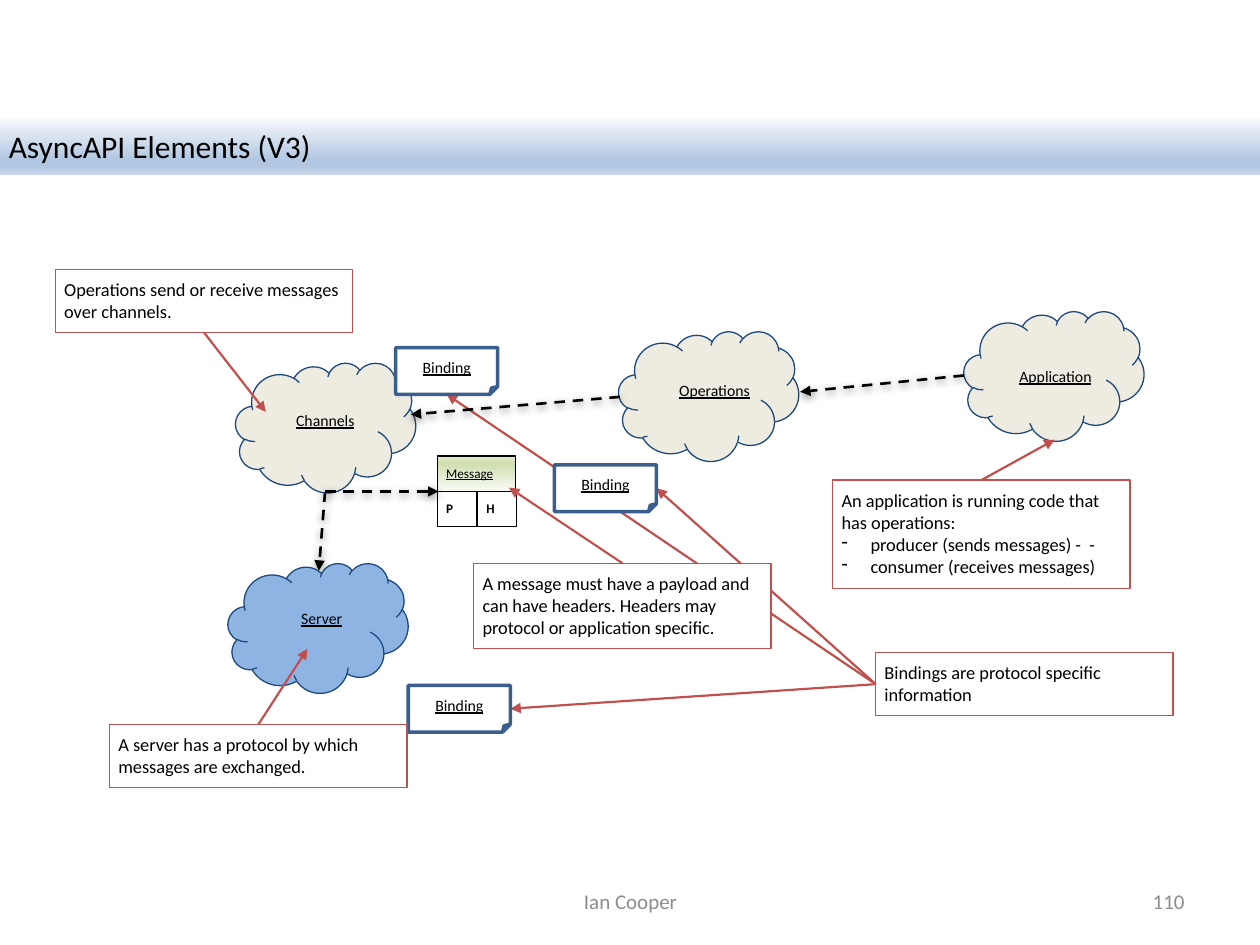
from lxml import etree
from pptx import Presentation
from pptx.dml.color import RGBColor
from pptx.enum.dml import MSO_LINE
from pptx.enum.shapes import MSO_CONNECTOR, MSO_SHAPE
from pptx.enum.text import MSO_ANCHOR, PP_ALIGN
from pptx.oxml import parse_xml
from pptx.oxml.ns import nsdecls, qn
from pptx.util import Inches, Pt

STRAIGHT = MSO_CONNECTOR.STRAIGHT
DASH = MSO_LINE.DASH
RECT, CLOUD, FOLDED = MSO_SHAPE.RECTANGLE, MSO_SHAPE.CLOUD, MSO_SHAPE.FOLDED_CORNER
TOP, MIDDLE = MSO_ANCHOR.TOP, MSO_ANCHOR.MIDDLE
LEFT, CENTER, RIGHT = PP_ALIGN.LEFT, PP_ALIGN.CENTER, PP_ALIGN.RIGHT
SITE_TOP, SITE_LEFT, SITE_BOTTOM, SITE_RIGHT = range(4)

BLACK = RGBColor(0x00, 0x00, 0x00)
WHITE = RGBColor(0xFF, 0xFF, 0xFF)
RED = RGBColor(0xC0, 0x50, 0x4D)
NAVY = RGBColor(0x1F, 0x49, 0x7D)
STEEL = RGBColor(0x3A, 0x5F, 0x8C)
CREAM = RGBColor(0xEE, 0xEC, 0xE1)
SKY = RGBColor(0x8E, 0xB4, 0xE3)
GREY = RGBColor(0x8C, 0x8C, 0x8C)
BLUE_FADE = [RGBColor.from_string(c) for c in ("F6F9FC", "B0C6E1", "B0C6E1", "CAD9EB")]
GREEN_FADE = [RGBColor.from_string(c) for c in ("FAFCF7", "D2E0B4", "D2E0B4", "E1EBCD")]
FADE_STOPS = (0, 74, 83, 100)

CLOUD_SIZE = (1.43, 1.03)
BINDING_SIZE = (0.81, 0.37)
NOTE_WIDTH = 2.36


def write(sp, lines, size=10.5, color=BLACK, bold=False, underline=False,
          align=LEFT, anchor=TOP, inset=0.07, wrap=True, bullets_from=None):
    """Fill a shape with formatted paragraphs."""
    tf = sp.text_frame
    tf.word_wrap = wrap
    tf.vertical_anchor = anchor
    tf.margin_left = tf.margin_right = tf.margin_top = tf.margin_bottom = Inches(inset)
    for i, line in enumerate(lines):
        p = tf.paragraphs[0] if i == 0 else tf.add_paragraph()
        p.alignment = align
        if bullets_from is not None and i >= bullets_from:
            pPr = p._p.get_or_add_pPr()
            pPr.set("marL", str(Inches(0.23)))
            pPr.set("indent", str(-Inches(0.23)))
            etree.SubElement(pPr, qn("a:buChar")).set("char", "-")
        r = p.add_run()
        r.text = line
        font = r.font
        font.name, font.size, font.bold, font.underline = "Calibri", Pt(size), bold, underline
        font.color.rgb = color


def add_box(s, kind, box, fill=None, line=None, width=0.75):
    """Add a preset shape without a shadow."""
    sp = s.shapes.add_shape(kind, *map(Inches, box))
    sp.shadow.inherit = False
    if fill is None:
        sp.fill.background()
    else:
        sp.fill.solid()
        sp.fill.fore_color.rgb = fill
    if line is None:
        sp.line.fill.background()
    else:
        sp.line.color.rgb = line
        sp.line.width = Pt(width)
    return sp


def fade(sp, colors, angle):
    """Replace the fill of a shape with a four-stop gradient."""
    stops = "".join(
        f'<a:gs pos="{pos * 1000}"><a:srgbClr val="{color}"/></a:gs>'
        for pos, color in zip(FADE_STOPS, colors))
    grad = parse_xml(f'<a:gradFill {nsdecls("a")} rotWithShape="1"><a:gsLst>{stops}</a:gsLst>'
                     f'<a:lin ang="{angle * 60000}" scaled="0"/></a:gradFill>')
    spPr = sp._element.spPr
    spPr.replace(spPr.find(qn("a:noFill")), grad)


def add_label(s, text, box, **fmt):
    """Add a text box with one line of text."""
    write(s.shapes.add_textbox(*map(Inches, box)), [text], **fmt)


def add_cloud(s, text, left, top, label, fill=CREAM):
    """Draw a cloud with its underlined label at an offset."""
    add_box(s, CLOUD, (left, top, *CLOUD_SIZE), fill, NAVY)
    dx, dy, width = label
    add_label(s, text, (left + dx, top + dy, width, 0.3), size=9, underline=True, wrap=False)


def add_note(s, left, top, height, lines, fill=None, **fmt):
    """Draw a red-framed explanation."""
    sp = add_box(s, RECT, (left, top, NOTE_WIDTH, height), fill, RED)
    write(sp, lines, **fmt)
    return sp


def add_binding(s, left, top):
    """Draw a folded card for a binding."""
    sp = add_box(s, FOLDED, (left, top, *BINDING_SIZE), WHITE, STEEL, 2)
    write(sp, ["Binding"], size=9, underline=True, align=CENTER, anchor=MIDDLE, inset=0.05)
    return sp


def add_message(s, left, top):
    """Draw the message header above its payload and header cells."""
    height = 0.28
    head = add_box(s, RECT, (left, top, 0.62, height), line=BLACK)
    fade(head, GREEN_FADE, 270)
    write(head, ["Message"], size=7.5, underline=True, wrap=False)
    for i, text in enumerate("PH"):
        cell = add_box(s, RECT, (left + i * 0.32, top + height, 0.31, height), WHITE, BLACK)
        write(cell, [text], size=7.5, bold=True)


def add_arrow(s, start, end, begin=None, finish=None, dashed=False, behind=False):
    """Draw an arrow, joined to (shape, site) pairs where given."""
    cx = s.shapes.add_connector(STRAIGHT, *map(Inches, (*start, *end)))
    if begin:
        cx.begin_connect(*begin)
    if finish:
        cx.end_connect(*finish)
    cx.line.color.rgb = BLACK if dashed else RED
    cx.line.width = Pt(1.5 if dashed else 1.25)
    if dashed:
        cx.line.dash_style = DASH
    etree.SubElement(cx.line._get_or_add_ln(), qn("a:tailEnd")).set("type", "triangle")
    shadow = (f'<a:outerShdw blurRad="{Pt(4.5)}" dist="{Pt(1.5)}" dir="5400000" rotWithShape="0">'
              '<a:srgbClr val="000000"><a:alpha val="50000"/></a:srgbClr></a:outerShdw>')
    cx._element.spPr.append(parse_xml(
        f'<a:effectLst {nsdecls("a")}>{shadow if dashed else ""}</a:effectLst>'))
    if behind:
        s.shapes._spTree.insert(2, cx._element)


def add_title(s, text, box):
    """Draw the gradient title band."""
    band = add_box(s, RECT, box)
    fade(band, BLUE_FADE, 90)
    write(band, [text], size=18)


def add_diagram(s):
    """Draw the elements, their explanations and the arrows."""
    add_cloud(s, "Channels", 1.87, 2.88, (0.41, 0.31, 0.69))
    add_cloud(s, "Application", 7.65, 2.47, (0.37, 0.37, 0.82))
    add_cloud(s, "Server", 1.81, 4.47, (0.51, 0.29, 0.5), SKY)
    add_cloud(s, "Operations", 4.91, 2.63, (0.41, 0.32, 0.73))
    add_message(s, 3.47, 3.62)
    channel_binding = add_binding(s, 3.14, 2.76)
    server_binding = add_binding(s, 3.24, 5.44)
    operation_binding = add_binding(s, 4.4, 3.69)

    app_note = add_note(s, 6.61, 3.81, 0.86, [
        "An application is running code that has operations:",
        "producer (sends messages) -  -",
        "consumer (receives messages)"], bullets_from=1)
    channel_note = add_note(s, 0.44, 2.14, 0.5,
                            ["Operations send or receive messages over channels."])
    server_note = add_note(s, 0.87, 5.75, 0.5,
                           ["A server has a protocol by which messages are exchanged."])
    binding_note = add_note(s, 6.95, 5.18, 0.5, ["Bindings are protocol specific information"])
    message_note = add_note(s, 3.76, 4.47, 0.68, [
        "A message must have a payload and can have headers. "
        "Headers may protocol or application specific."], WHITE)

    for start, end in (((7.65, 2.98), (6.35, 3.11)), ((4.92, 3.15), (3.26, 3.29)),
                       ((2.58, 3.9), (3.48, 3.9))):
        add_arrow(s, start, end, dashed=True)
    add_arrow(s, (2.58, 3.9), (2.53, 4.53), dashed=True, behind=True)
    for start, end, note, site in (((7.79, 3.81), (8.37, 3.49), app_note, SITE_TOP),
                                   ((4.94, 4.47), (4.04, 3.87), message_note, SITE_TOP),
                                   ((1.62, 2.64), (2.11, 3.27), channel_note, SITE_BOTTOM),
                                   ((2.05, 5.75), (2.44, 5.15), server_note, SITE_TOP)):
        add_arrow(s, start, end, (note, site))
    for end, card, site in (((5.21, 3.88), operation_binding, SITE_RIGHT),
                            ((3.54, 3.13), channel_binding, SITE_BOTTOM),
                            ((4.05, 5.63), server_binding, SITE_RIGHT)):
        add_arrow(s, (6.95, 5.43), end, (binding_note, SITE_LEFT), (card, site), behind=True)


def add_footer(s, top, height):
    """Write the author and the slide number."""
    fmt = {"size": 12, "color": GREY, "anchor": MIDDLE, "inset": 0.1}
    add_label(s, "Ian Cooper", (3.42, top, 3.17, height), align=CENTER, **fmt)
    add_label(s, "110", (7.17, top, 2.33, height), align=RIGHT, **fmt)


def main():
    """Build and save the slide."""
    prs = Presentation()
    prs.slide_width, prs.slide_height = Inches(10), Inches(7.5)
    s = prs.slides.add_slide(prs.slide_layouts[6])
    add_title(s, "AsyncAPI Elements (V3)", (0, 0.94, 10, 0.45))
    add_diagram(s)
    add_footer(s, 6.95, 0.4)
    prs.save("out.pptx")


if __name__ == "__main__":
    main()
